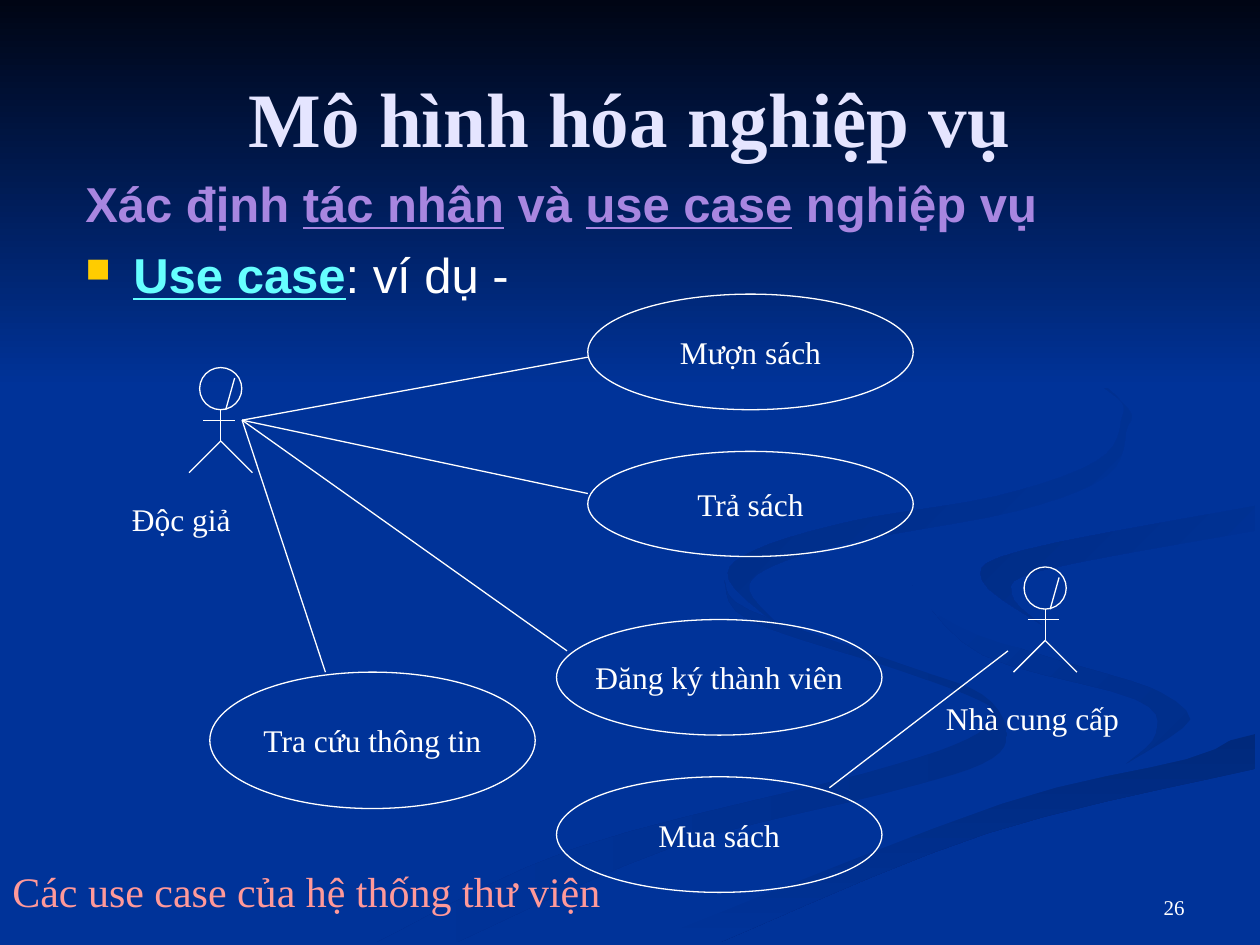
"""Build the slide on library use cases."""
from lxml import etree
from pptx import Presentation
from pptx import util as u
from pptx.dml.color import RGBColor
from pptx.enum import shapes, text
from pptx.oxml.ns import qn

WHITE, BLUE, SERIF = "FFFFFF", "003399", "Times New Roman"
WIDE, HIGH = 25.4, 19.05
STEPS = 5


def hue(color, code):
    color.rgb = RGBColor.from_string(code)


def write(shape, words, size, code, align="LEFT", anchor="TOP", wrap=True):
    frame = shape.text_frame
    frame.word_wrap = wrap
    frame.vertical_anchor = getattr(text.MSO_ANCHOR, anchor)
    para = frame.paragraphs[0]
    para.text = words
    para.alignment = getattr(text.PP_ALIGN, align)
    para.font.name = SERIF
    para.font.size = u.Pt(size)
    hue(para.font.color, code)
    return para


deck = Presentation()
deck.slide_width, deck.slide_height = u.Cm(WIDE), u.Cm(HIGH)
slide = deck.slides.add_slide(deck.slide_layouts[6])
slide.background.fill.solid()
hue(slide.background.fill.fore_color, BLUE)
tree = slide.shapes

# Each knot is a cut across a ribbon: x, y on one edge, then x, y on the other.
ribbons = {
    "left hook": ("002E8A", BLUE, 180, [
        (14.6, 11.7, 14.6, 11.7), (15.1, 12.3, 15.1, 12.5), (18.2, 13.4, 18.1, 13.5),
        (19.8, 14, 19.7, 14.1), (20.3, 14.8, 20, 14.4), (19.8, 15.4, 19.5, 14.9),
        (17.8, 16, 17.4, 15.6), (13.5, 17.1, 11.6, 17.1), (9.2, 19, 7.6, 19)]),
    "right hook": ("002E8A", BLUE, 135, [
        (18.4, 11.8, 18.4, 11.8), (20.1, 12.9, 19.8, 13.2), (23.3, 13.9, 22.9, 14.1),
        (24, 14.5, 23.3, 14.8), (22.7, 15.4, 22.7, 15.4)]),
    "tail": ("00297C", BLUE, 270, [
        (25.3, 14.8, 25.3, 15.5), (19.4, 16.4, 19.9, 16.8), (12.8, 19, 14.5, 19)]),
    "bend": (BLUE, BLUE, 0, [
        (25.4, 9.8, 25.4, 10.2), (19.6, 10.8, 20.6, 11.1), (18.4, 11.8, 19.8, 11.8),
        (19.7, 12.8, 20.8, 12.5), (22.6, 13.6, 23, 13.2), (24, 14.5, 25.3, 13.8),
        (22.7, 15.4, 24.5, 15.1), (18.9, 16.3, 20.2, 16.2), (12.1, 19, 13, 19)]),
    "curl": (BLUE, "002C85", 135, [
        (25.3, 10.2, 25.3, 10.7), (20.6, 11.1, 21, 11.5), (19.8, 11.7, 20.4, 12),
        (21, 12.6, 21, 12.6)]),
    "crest": (BLUE, "002B81", 135, [
        (19.4, 5.9, 19.4, 5.9), (22.5, 8, 22.3, 7.8), (22.7, 8.7, 22.6, 8.5),
        (22.3, 9.6, 22.1, 9.3), (20.5, 10.3, 20.1, 10), (17.3, 10.9, 17.2, 10.5),
        (15.6, 11.4, 15.2, 11.1), (15.1, 11.9, 14.7, 11.7), (15.8, 12.7, 15.8, 12.7)]),
}
shades = []
for first, last, angle, knots in ribbons.values():
    pad = [knots[0], *knots, knots[-1]]
    cuts = []
    for quad in zip(pad, pad[1:], pad[2:], pad[3:]):
        for step in range(STEPS):
            t = step / STEPS
            cuts.append([b + t / 2 * (c - a + t * (2 * a - 5 * b + 4 * c - d
                                                   + t * (3 * b - 3 * c + d - a)))
                         for a, b, c, d in zip(*quad)])
    cuts.append(knots[-1])
    edge = [cut[:2] for cut in cuts] + [cut[2:] for cut in reversed(cuts)]
    dots = [(u.Cm(x), u.Cm(y)) for x, y in edge]
    pen = tree.build_freeform(*dots[0])
    pen.add_line_segments(dots[1:], close=True)
    shades.append((pen.convert_to_shape(), first, last, angle))

sky = tree.add_shape(shapes.MSO_SHAPE.RECTANGLE, 0, 0, u.Cm(WIDE), u.Cm(7.82))
shades.append((sky, "000514", BLUE, 270))
for shade, first, last, angle in shades:
    shade.shadow.inherit = False
    shade.line.fill.background()
    shade.fill.gradient()
    shade.fill.gradient_angle = angle
    for stop, code in zip(shade.fill.gradient_stops, (first, last)):
        hue(stop.color, code)

labels = [
    ((1.27, 0.76, 22.86, 3.18), "Mô hình hóa nghiệp vụ", 44, "E5E5FF", "CENTER", "MIDDLE"),
    ((2.41, 9.96, 2.72, 1.02), "Độc giả", 18, WHITE),
    ((18.82, 13.97, 4.6, 1.02), "Nhà cung cấp", 18, WHITE),
    ((0, 17.32, 12.8, 1.27), "Các use case của hệ thống thư viện", 24, "FF9999"),
    ((18.21, 17.35, 5.92, 1.32), "26", 12, WHITE, "RIGHT", "BOTTOM"),
]
for spot, *style in labels:
    para = write(tree.add_textbox(*map(u.Cm, spot)), *style)
    para.font.bold = style[1] == 44

body = tree.add_textbox(*map(u.Cm, (1.47, 3.38, 21.39, 12.57))).text_frame
body.word_wrap = True
head, item = body.paragraphs[0], body.add_paragraph()
props = item._p.get_or_add_pPr()
props.set("marL", str(u.Cm(0.97)))
props.set("indent", str(u.Cm(-0.97)))
tint = etree.SubElement(props, qn("a:buClr"))
etree.SubElement(tint, qn("a:srgbClr"), val="FFCC00")
etree.SubElement(props, qn("a:buSzPct"), val="70000")
etree.SubElement(props, qn("a:buChar"), char="■")
item.space_before = u.Pt(7)
for para in (head, item):
    para.font.name, para.font.size = "Arial", u.Pt(28)
head.font.bold = True
hue(head.font.color, "A886E0")
for words in ("Xác định ", "tác nhân", " và ", "use case", " nghiệp vụ"):
    run = head.add_run()
    run.text = words
    run.font.underline = words in ("tác nhân", "use case")
for words, code, strong in (("Use case", "66FFFF", True), (": ví dụ -", WHITE, False)):
    run = item.add_run()
    run.text = words
    run.font.bold = run.font.underline = strong
    hue(run.font.color, code)

span, skull = 6.56, 0.85
cases = [
    (11.85, 5.93, 2.33, "Mượn sách"),
    (11.85, 9.1, 2.12, "Trả sách"),
    (11.22, 12.49, 2.33, "Đăng ký thành viên"),
    (4.23, 13.55, 2.75, "Tra cứu thông tin"),
    (11.22, 15.66, 2.33, "Mua sách"),
]
ovals = [(x, y, span, tall, words) for x, y, tall, words in cases]

reader = (4.88, 8.47)
goals = [(11.85, 7.2), (11.85, 9.95), (11.43, 13.12), (6.56, 13.55)]
lines = [(*reader, *goal) for goal in goals]
lines.append((16.72, 15.88, 20.32, 13.12))

neck, hip, foot, arm = skull, 1.48, 2.12, 1.06
limbs = [(0.28, 0.21, 0.1, neck), (0, neck, 0, hip), (0, hip, -0.64, foot),
         (0, hip, 0.64, foot), (-0.35, arm, 0.28, arm)]
for x, y in ((4.45, 7.41), (21.07, 11.43)):
    ovals.append((x - skull / 2, y, skull, skull, ""))
    lines += [(x + a, y + b, x + c, y + d) for a, b, c, d in limbs]

for *spot, words in ovals:
    oval = tree.add_shape(shapes.MSO_SHAPE.OVAL, *map(u.Cm, spot))
    oval.shadow.inherit = False
    oval.fill.background()
    oval.line.width = u.Pt(0.75)
    hue(oval.line.color, WHITE)
    if words:
        write(oval, words, 18, WHITE, "CENTER", "MIDDLE", False)

for ends in lines:
    line = tree.add_connector(shapes.MSO_CONNECTOR.STRAIGHT, *map(u.Cm, ends))
    line.line.width = u.Pt(0.75)
    hue(line.line.color, WHITE)
    etree.SubElement(line._element.spPr, qn("a:effectLst"))

deck.save("out.pptx")
